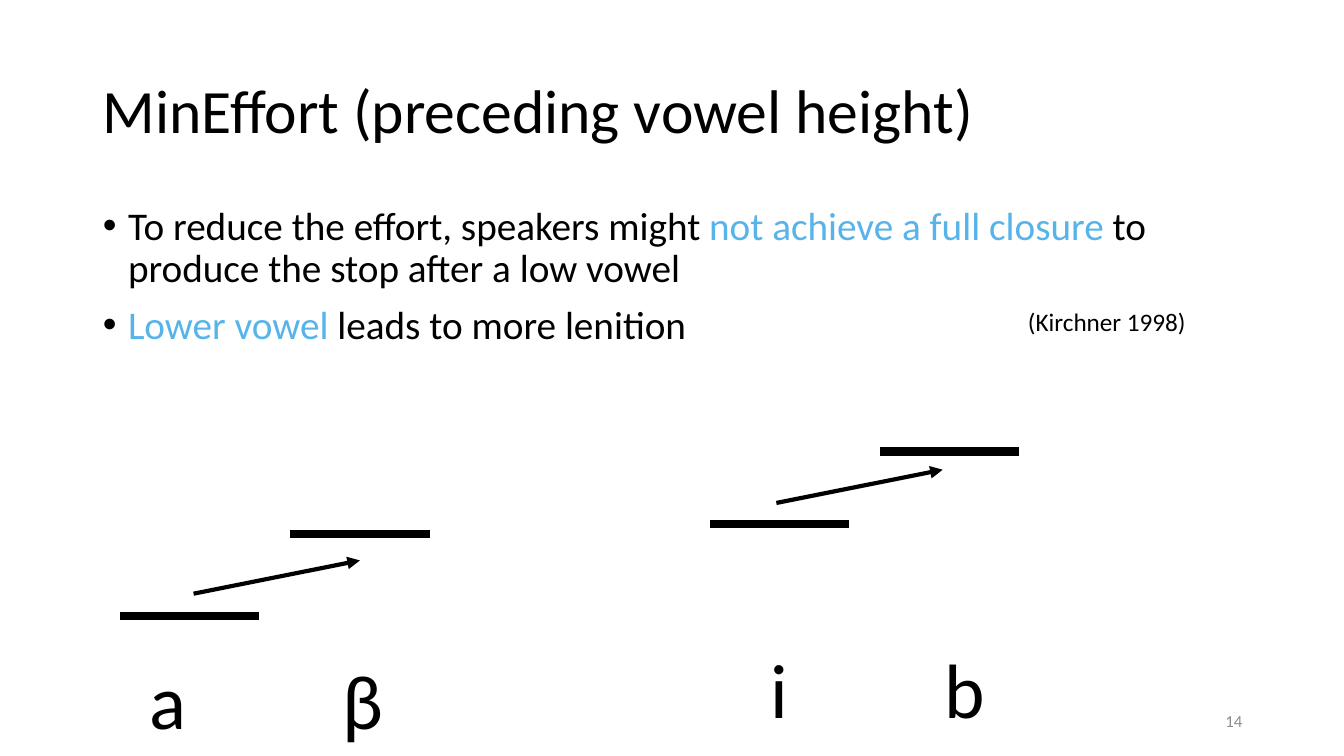
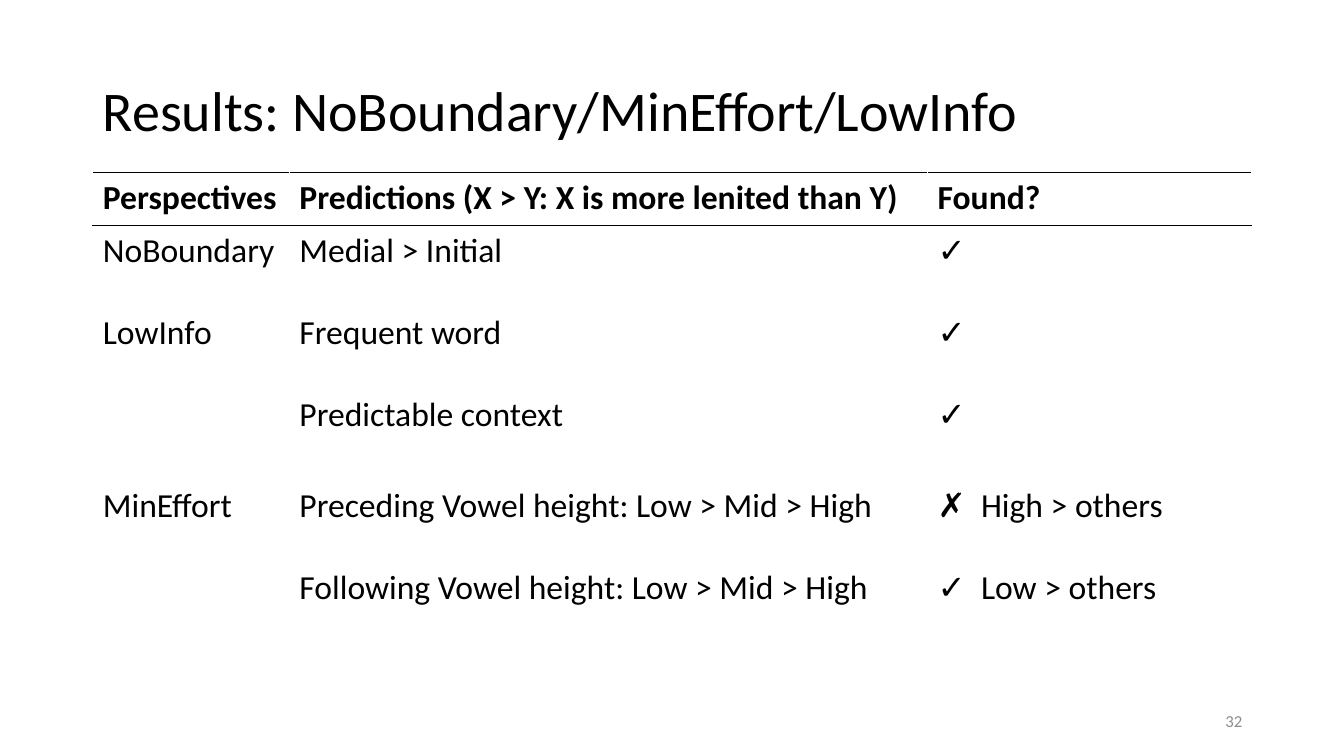
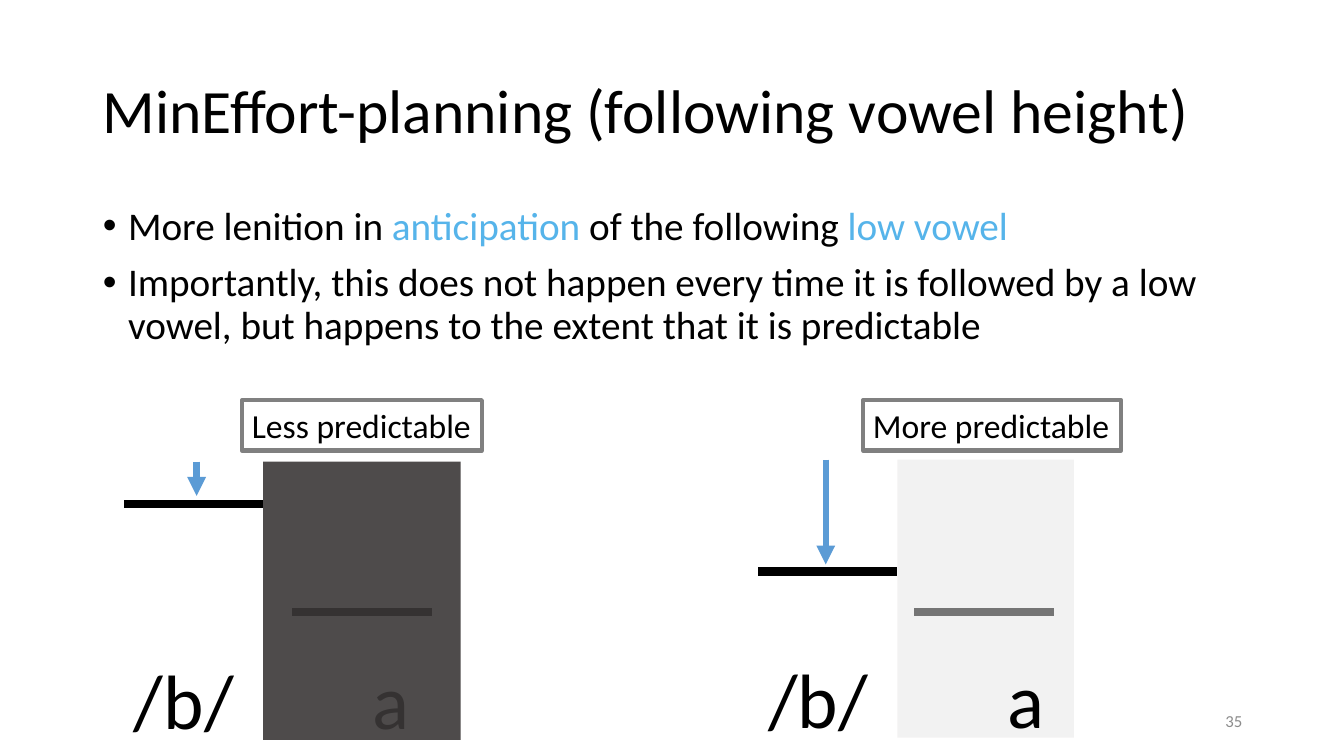
from dataclasses import dataclass

from lxml.etree import SubElement
from pptx import Presentation
from pptx.dml.color import RGBColor
from pptx.enum.shapes import MSO_CONNECTOR as Connector, MSO_SHAPE as Preset
from pptx.enum.text import MSO_ANCHOR as Anchor, MSO_AUTO_SIZE as AutoSize, PP_ALIGN as Align
from pptx.oxml.ns import qn
from pptx.util import Inches, Pt


@dataclass(frozen=True)
class Theme:
    font: str = "Calibri"
    ink: str = "000000"
    accent: str = "56B4EA"
    arrow: str = "5B9BD5"
    muted: str = "8C8C8C"
    frame: str = "808080"
    dark_veil: str = "3B3838"
    light_veil: str = "E7E6E6"
    title: int = 44
    long_title: int = 40
    body: int = 28
    table: int = 24
    cite: int = 18
    number: int = 12
    sound: int = 55
    table_gap: float = 29.3
    left: float = 0.92
    width: float = 11.5
    bar: float = 1.38


class Deck:
    """Builds slides in one shared style."""

    def __init__(self, theme):
        self.theme = theme
        self.prs = Presentation()
        self.prs.slide_width, self.prs.slide_height = Inches(13.33), Inches(7.5)
        self.slide = None

    def start(self, title, number, bullets=(), size=None):
        theme = self.theme
        self.slide = self.prs.slides.add_slide(self.prs.slide_layouts[1 if bullets else 5])
        heading = self.slide.shapes.title
        self.place(heading, 0.4, 1.45)
        frame = heading.text_frame
        frame.text = title
        frame.vertical_anchor = Anchor.MIDDLE
        frame.paragraphs[0].line_spacing = 0.9
        self.style(frame.paragraphs[0], size or theme.title)
        if bullets:
            self.bullets(bullets)
        self.text(number, 9.42, 6.95, 3, 0.4, theme.number, theme.muted, Align.RIGHT, Anchor.MIDDLE)

    def place(self, holder, top, height):
        holder.left, holder.top = Inches(self.theme.left), Inches(top)
        holder.width, holder.height = Inches(self.theme.width), Inches(height)
        holder.text_frame.auto_size = AutoSize.NONE
        holder.text_frame.word_wrap = True

    def style(self, paragraph, size, color=None, align=Align.LEFT, bold=False):
        paragraph.alignment = align
        for run in paragraph.runs:
            font = run.font
            font.name, font.size, font.bold = self.theme.font, Pt(size), bold
            font.color.rgb = RGBColor.from_string(color or self.theme.ink)

    def bullets(self, items):
        theme = self.theme
        body = self.slide.placeholders[1]
        self.place(body, 2, 4.76)
        frame = body.text_frame
        for index, item in enumerate(items):
            paragraph = frame.add_paragraph() if index else frame.paragraphs[0]
            props = paragraph._p.get_or_add_pPr()
            props.set("marL", str(Inches(0.25)))
            props.set("indent", str(-Inches(0.25)))
            SubElement(SubElement(props, qn("a:buClr")), qn("a:srgbClr"), val=theme.ink)
            SubElement(props, qn("a:buFont"), typeface="Arial")
            SubElement(props, qn("a:buChar"), char="•")
            paragraph.line_spacing = 0.9
            paragraph.space_before = Pt(10 if index else 0)
            parts = item.split("*")
            for part in parts:
                paragraph.add_run().text = part
            self.style(paragraph, theme.body)
            for run in paragraph.runs[1::2]:
                run.font.color.rgb = RGBColor.from_string(theme.accent)
            for run in paragraph.runs:
                if not run.text:
                    paragraph._p.remove(run._r)

    def tab_stop(self, paragraph, position):
        stops = SubElement(paragraph._p.get_or_add_pPr(), qn("a:tabLst"))
        SubElement(stops, qn("a:tab"), pos=str(Inches(position)), algn="l")

    def text(self, words, left, top, width, height, size, color=None,
             align=Align.LEFT, anchor=Anchor.TOP, tab=None):
        box = self.slide.shapes.add_textbox(Inches(left), Inches(top), Inches(width), Inches(height))
        frame = box.text_frame
        frame.word_wrap = True
        frame.vertical_anchor = anchor
        frame.text = words
        if tab:
            self.tab_stop(frame.paragraphs[0], tab)
        self.style(frame.paragraphs[0], size, color, align)

    def sounds(self, words, left, top, width, tab):
        self.text(words, left, top, width, 1.03, self.theme.sound, tab=tab)

    def line(self, x1, y1, x2, y2, weight, color=None, arrow=False):
        link = self.slide.shapes.add_connector(
            Connector.STRAIGHT, Inches(x1), Inches(y1), Inches(x2), Inches(y2))
        link.line.color.rgb = RGBColor.from_string(color or self.theme.ink)
        link.line.width = Pt(weight)
        props = link.element.spPr
        if arrow:
            SubElement(props.find(qn("a:ln")), qn("a:tailEnd"), type="triangle")
        SubElement(props, qn("a:effectLst"))

    def bar(self, left, height):
        self.line(left, height, left + self.theme.bar, height, 6)

    def rectangle(self, left, top, width, height):
        shape = self.slide.shapes.add_shape(
            Preset.RECTANGLE, Inches(left), Inches(top), Inches(width), Inches(height))
        shape.shadow.inherit = False
        return shape

    def veil(self, left, top, width, color, opacity):
        veil = self.rectangle(left, top, width, 2.76)
        veil.fill.solid()
        veil.fill.fore_color.rgb = RGBColor.from_string(color)
        veil.line.fill.background()
        tint = veil.element.spPr.find(qn("a:solidFill")).find(qn("a:srgbClr"))
        SubElement(tint, qn("a:alpha"), val=str(opacity * 1000))

    def label(self, words, left, width):
        label = self.rectangle(left, 3.97, width, 0.5)
        label.fill.background()
        label.line.color.rgb = RGBColor.from_string(self.theme.frame)
        label.line.width = Pt(3)
        frame = label.text_frame
        frame.word_wrap = False
        frame.vertical_anchor = Anchor.TOP
        frame.text = words
        self.style(frame.paragraphs[0], self.theme.table)

    def rule(self, cell, sides):
        props = cell._tc.get_or_add_tcPr()
        for index, side in enumerate(sides):
            edge = SubElement(props, qn(f"a:ln{side}"), w=str(Pt(1)))
            SubElement(SubElement(edge, qn("a:solidFill")), qn("a:srgbClr"), val=self.theme.ink)
            props.insert(index, edge)

    def table(self, rows, widths, heights, top):
        theme = self.theme
        grid = self.slide.shapes.add_table(
            len(rows), len(widths), Inches(theme.left), Inches(top),
            Inches(sum(widths)), Inches(sum(heights))).table
        grid.first_row = grid.horz_banding = False
        for column, width in zip(grid.columns, widths):
            column.width = Inches(width)
        for r, (row, height) in enumerate(zip(rows, heights)):
            grid.rows[r].height = Inches(height)
            for c, words in enumerate(row):
                cell = grid.cell(r, c)
                cell.fill.background()
                self.rule(cell, ("TB", "T", "", "")[r])
                cell.text_frame.text = words
                for index, paragraph in enumerate(cell.text_frame.paragraphs):
                    if "\t" in paragraph.text:
                        self.tab_stop(paragraph, 0.43)
                    if index:
                        paragraph.space_before = Pt(theme.table_gap)
                    self.style(paragraph, theme.table, bold=r == 0)


def preceding_vowel(deck):
    deck.start("MinEffort (preceding vowel height)", "14", (
        "To reduce the effort, speakers might *not achieve a full closure* to produce the stop after a low vowel",
        "*Lower vowel* leads to more lenition"))
    for left, height in ((1.19, 6.11), (2.88, 5.3), (7.04, 5.2), (8.73, 4.48)):
        deck.bar(left, height)
    deck.sounds("a\tβ", 1.38, 6.42, 2.88, 1.92)
    deck.sounds("i\tb", 7.54, 6.32, 2.56, 1.73)
    for x, y in ((7.7, 4.99), (1.92, 5.89)):
        deck.line(x, y, x + 1.65, y - 0.33, 3, arrow=True)
    deck.text("(Kirchner 1998)", 9.36, 2.99, 2.5, 0.4, deck.theme.cite, align=Align.RIGHT)


def results(deck):
    deck.start("Results: NoBoundary/MinEffort/LowInfo", "32", size=deck.theme.long_title)
    deck.table((
        ("Perspectives", "Predictions (X > Y: X is more lenited than Y)", "Found?"),
        ("NoBoundary", "Medial > Initial", "✓"),
        ("LowInfo", "Frequent word\nPredictable context", "✓\n✓"),
        ("MinEffort",
         "Preceding Vowel height: Low > Mid > High\nFollowing Vowel height: Low > Mid > High",
         "✗\tHigh > others\n✓\tLow > others"),
    ), (1.95, 6.33, 3.21), (0.53, 0.81, 1.72, 1.55), 1.71)


def following_vowel(deck):
    theme = deck.theme
    deck.start("MinEffort-planning (following vowel height)", "35", (
        "More lenition in *anticipation* of the following *low vowel*",
        "Importantly, this does not happen every time it is followed by a low vowel, "
        "but happens to the extent that it is predictable"))
    for left, height in ((9.07, 6.07), (7.52, 5.67), (2.9, 6.07), (1.23, 5)):
        deck.bar(left, height)
    deck.sounds("/b/\ta", 1.23, 6.42, 3.34, 2.37)
    deck.veil(2.61, 4.58, 1.96, theme.dark_veil, 90)
    deck.veil(8.9, 4.56, 1.75, theme.light_veil, 51)
    deck.label("Less predictable", 2.4, 2.38)
    deck.label("More predictable", 8.56, 2.56)
    deck.sounds("/b/\ta", 7.52, 6.41, 3.34, 2.37)
    for x, top, bottom in ((1.95, 4.58, 4.92), (8.19, 4.56, 5.6)):
        deck.line(x, top, x, bottom, 4.5, theme.arrow, arrow=True)


def main():
    deck = Deck(Theme())
    for build in (preceding_vowel, results, following_vowel):
        build(deck)
    deck.prs.save("out.pptx")


if __name__ == "__main__":
    main()
